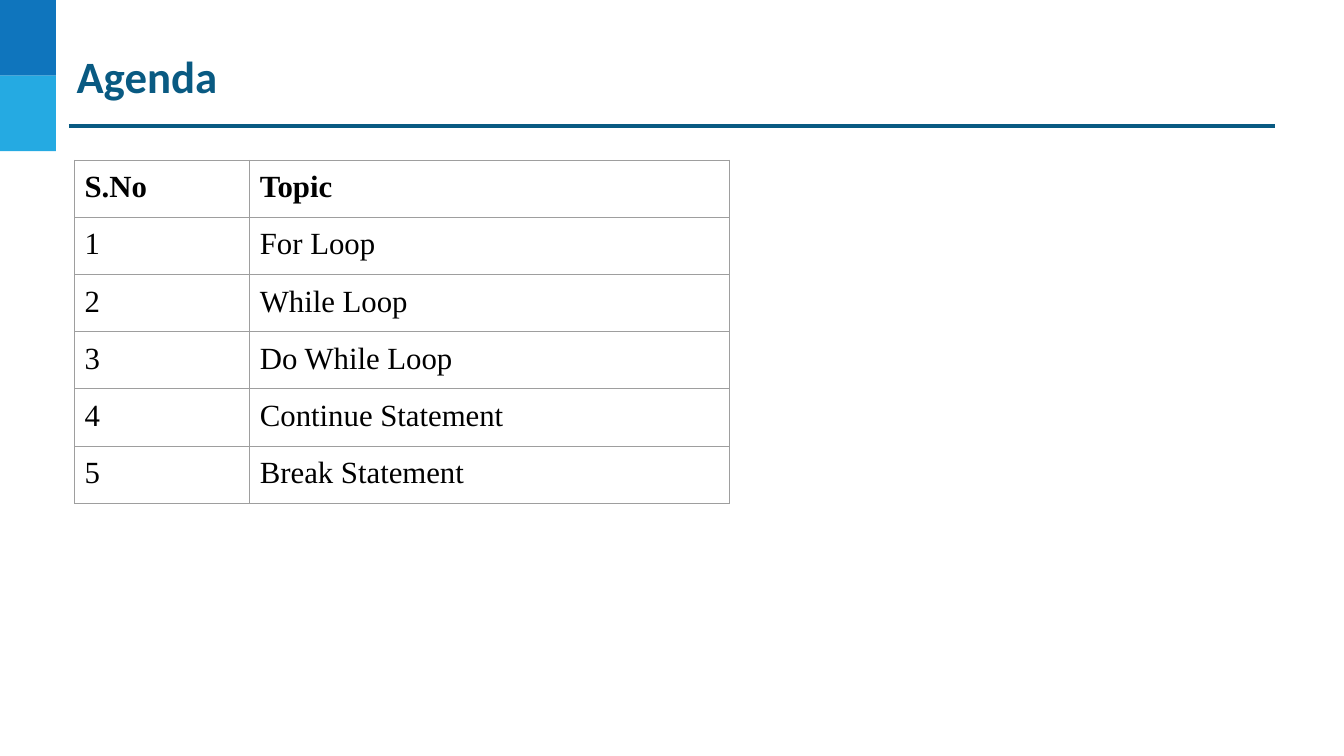
from lxml.etree import SubElement
from pptx import Presentation
from pptx.dml.color import RGBColor
from pptx.enum.shapes import MSO_CONNECTOR, MSO_SHAPE
from pptx.oxml.ns import qn
from pptx.util import Pt

TOPICS = ["For Loop", "While Loop", "Do While Loop", "Continue Statement", "Break Statement"]


def rgb(value):
    return RGBColor.from_string(value)


class AgendaSlide:
    ACCENT = "095A82"
    TEXT = "000000"
    BORDER = "9E9E9E"
    TITLE_FONT = "Calibri"
    TABLE_FONT = "Times New Roman"

    def __init__(self, prs):
        self.s = prs.slides.add_slide(prs.slide_layouts[6])

    def block(self, left, top, width, height, color):
        sp = self.s.shapes.add_shape(MSO_SHAPE.RECTANGLE, Pt(left), Pt(top), Pt(width), Pt(height))
        sp.shadow.inherit = False
        sp.fill.solid()
        sp.fill.fore_color.rgb = rgb(color)
        sp.line.fill.background()

    def rule(self, left, right, y):
        line = self.s.shapes.add_connector(MSO_CONNECTOR.STRAIGHT, Pt(left), Pt(y), Pt(right), Pt(y))
        line.line.color.rgb = rgb(self.ACCENT)
        line.line.width = Pt(2.25)
        SubElement(line._element.spPr, qn("a:effectLst"))

    def style(self, tf, font, size, color, bold):
        f = tf.paragraphs[0].runs[0].font
        f.name, f.size, f.bold = font, Pt(size), bold
        f.color.rgb = rgb(color)

    def inset(self, box, margin):
        box.margin_left = box.margin_right = box.margin_top = box.margin_bottom = Pt(margin)

    def title(self, text, left, top, width, height):
        tf = self.s.shapes.add_textbox(Pt(left), Pt(top), Pt(width), Pt(height)).text_frame
        tf.word_wrap = True
        self.inset(tf, 1.44)
        tf.text = text
        self.style(tf, self.TITLE_FONT, 32, self.ACCENT, True)

    def borders(self, cell):
        tc_pr = cell._tc.get_or_add_tcPr()
        for side in ("lnL", "lnR", "lnT", "lnB"):
            ln = SubElement(tc_pr, qn(f"a:{side}"), w=str(Pt(0.75)))
            fill = SubElement(ln, qn("a:solidFill"))
            SubElement(fill, qn("a:srgbClr"), val=self.BORDER)

    def table(self, rows, left, top, widths, row_height):
        frame = self.s.shapes.add_table(len(rows), len(widths), Pt(left), Pt(top),
                                        Pt(sum(widths)), Pt(row_height * len(rows)))
        table = frame.table
        table.first_row = table.horz_banding = False
        for column, width in zip(table.columns, widths):
            column.width = Pt(width)
        for r, values in enumerate(rows):
            table.rows[r].height = Pt(row_height)
            for c, value in enumerate(values):
                cell = table.cell(r, c)
                self.inset(cell, 7.2)
                self.borders(cell)
                cell.fill.background()
                cell.text_frame.text = value
                self.style(cell.text_frame, self.TABLE_FONT, 22, self.TEXT, r == 0)


def main():
    prs = Presentation()
    prs.slide_width, prs.slide_height = Pt(960), Pt(540)
    agenda = AgendaSlide(prs)
    for i, color in enumerate(["0F75BD", "25AAE2"]):
        agenda.block(0, 54 * i, 40, 54, color)
    agenda.rule(49.2, 910.8, 90)
    agenda.title("Agenda", 53.3, 33.1, 862, 41.8)
    rows = [("S.No", "Topic")] + [(str(n), topic) for n, topic in enumerate(TOPICS, 1)]
    agenda.table(rows, 53.3, 114.5, [125.2, 342.8], 40.7)
    prs.save("out.pptx")


if __name__ == "__main__":
    main()
